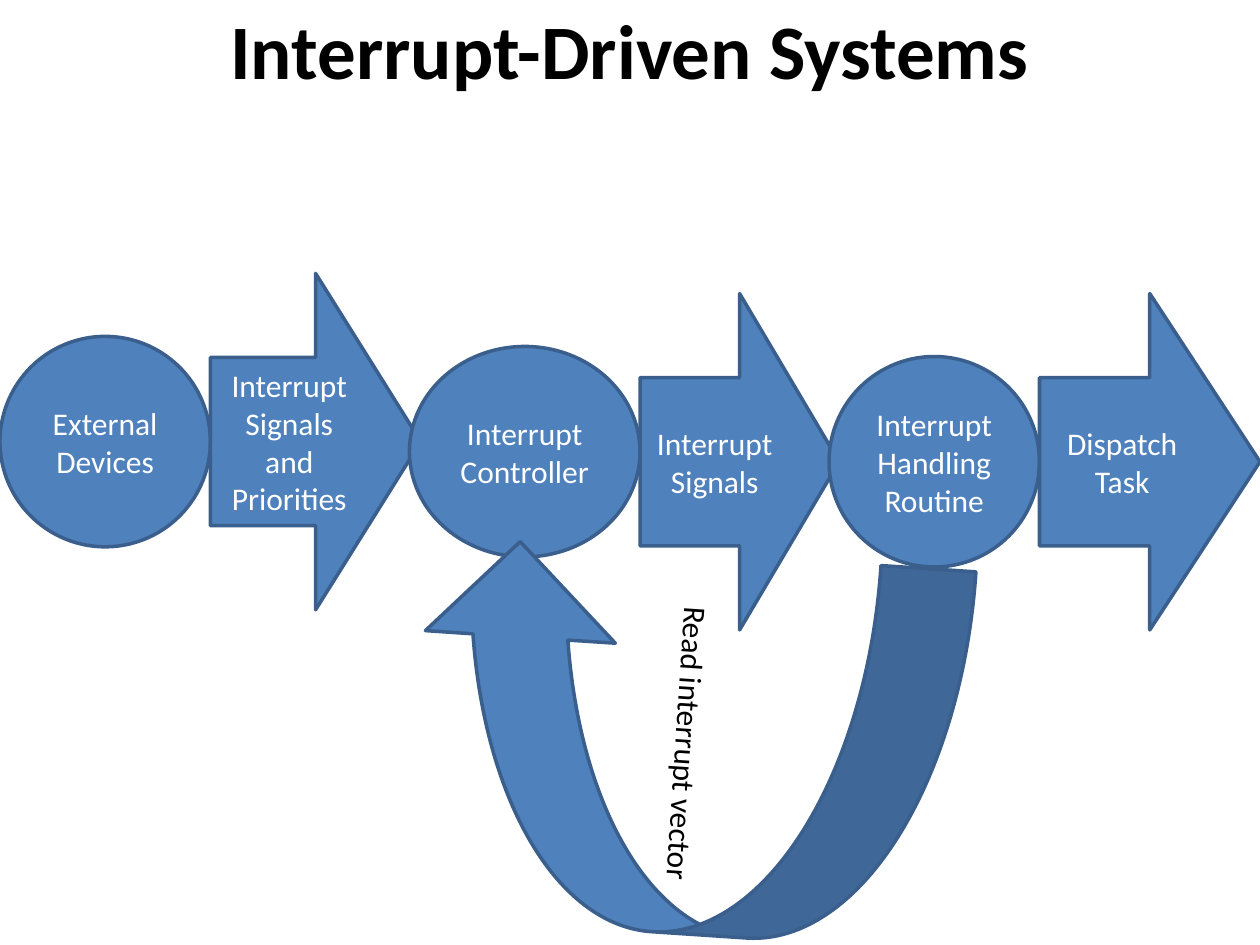
from dataclasses import dataclass

from pptx import Presentation
from pptx.dml.color import RGBColor
from pptx.enum.shapes import MSO_SHAPE
from pptx.enum.text import MSO_ANCHOR, PP_ALIGN
from pptx.util import Inches, Pt


@dataclass(frozen=True)
class Theme:
    font: str = "Calibri"
    title_size: int = 44
    label_size: int = 18
    line_width: int = 2
    fill: RGBColor = RGBColor(0x4F, 0x81, 0xBD)
    outline: RGBColor = RGBColor(0x3A, 0x5F, 0x8C)
    dark: RGBColor = RGBColor(0, 0, 0)
    light: RGBColor = RGBColor(255, 255, 255)


THEME = Theme()

# Flow stages: kind, left, top, width, height (relative to the flow), label
STAGES = [
    (MSO_SHAPE.OVAL, 0, 0.5, 1.67, 1.67, "External Devices"),
    (MSO_SHAPE.RIGHT_ARROW, 1.67, 0, 1.67, 2.67, "Interrupt Signals and Priorities"),
    (MSO_SHAPE.OVAL, 3.25, 0.58, 1.83, 1.67, "Interrupt Controller"),
    (MSO_SHAPE.RIGHT_ARROW, 5.08, 0.16, 1.58, 2.67, "Interrupt Signals"),
    (MSO_SHAPE.OVAL, 6.58, 0.66, 1.67, 1.67, "Interrupt Handling Routine"),
    (MSO_SHAPE.RIGHT_ARROW, 8.25, 0.16, 1.75, 2.67, "Dispatch Task"),
]


def write_text(sp, text, size, color, bold=False):
    tf = sp.text_frame
    tf.word_wrap = True
    tf.vertical_anchor = MSO_ANCHOR.MIDDLE
    p = tf.paragraphs[0]
    p.alignment = PP_ALIGN.CENTER
    r = p.add_run()
    r.text = text
    r.font.name = THEME.font
    r.font.size = Pt(size)
    r.font.bold = bold
    r.font.color.rgb = color


def add_block(s, kind, left, top, width, height, label, color):
    sp = s.shapes.add_shape(kind, Inches(left), Inches(top), Inches(width), Inches(height))
    sp.shadow.inherit = False
    sp.fill.solid()
    sp.fill.fore_color.rgb = THEME.fill
    sp.line.color.rgb = THEME.outline
    sp.line.width = Pt(THEME.line_width)
    write_text(sp, label, THEME.label_size, color)
    return sp


def add_title(s, left, top, width, height):
    box = s.shapes.add_textbox(Inches(left), Inches(top), Inches(width), Inches(height))
    write_text(box, "Interrupt-Driven Systems", THEME.title_size, THEME.dark, bold=True)


def add_flow(s, left, top):
    for kind, dx, dy, width, height, label in STAGES:
        add_block(s, kind, left + dx, top + dy, width, height, label, THEME.light)


def add_feedback(s, left, top, width, height):
    sp = add_block(s, MSO_SHAPE.CURVED_LEFT_ARROW, left, top, width, height,
                   "Read interrupt vector", THEME.dark)
    sp.rotation = 93.8


def main():
    prs = Presentation()
    prs.slide_width, prs.slide_height = Inches(10), Inches(7.5)
    s = prs.slides.add_slide(prs.slide_layouts[6])

    # Heading
    add_title(s, 0, -0.42, 10, 1.61)
    # Device-to-task chain
    add_flow(s, 0, 2.17)
    # Return path from routine to controller
    add_feedback(s, 3.95, 3.71, 3.02, 4.38)

    prs.save("out.pptx")


if __name__ == "__main__":
    main()
